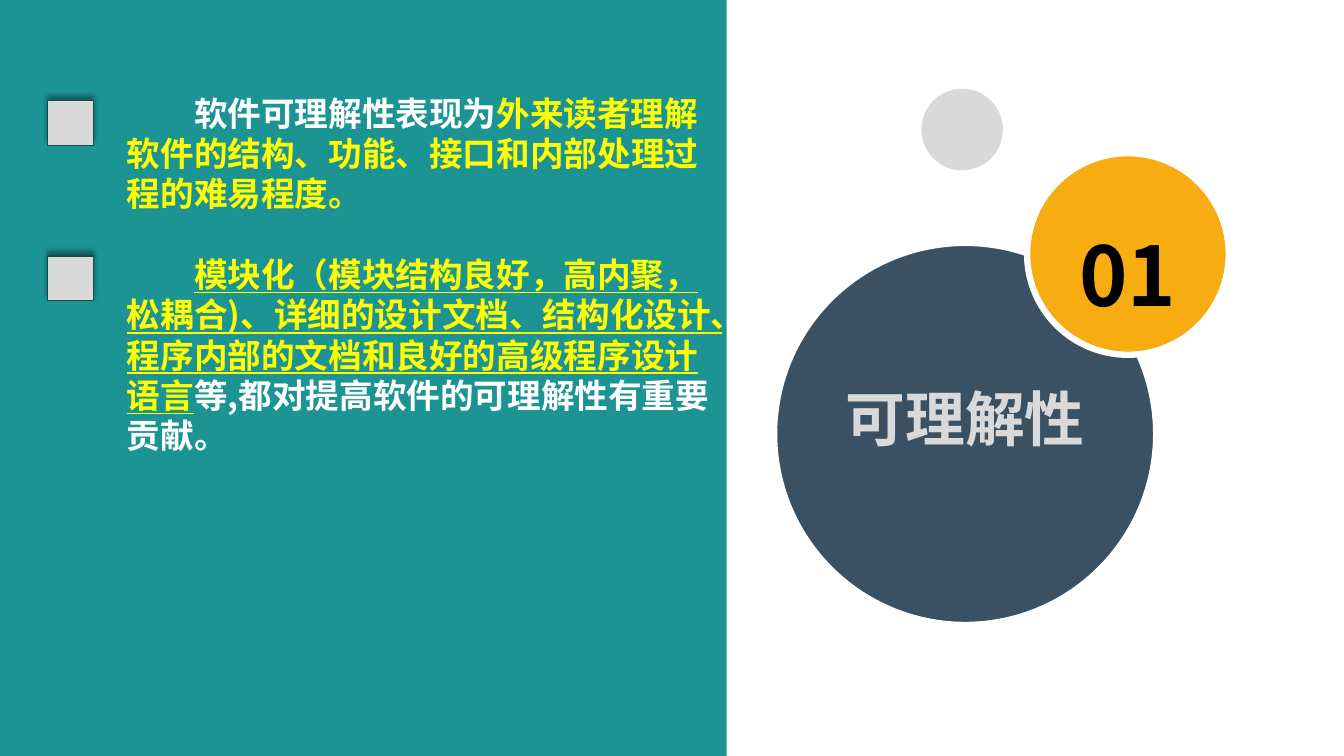
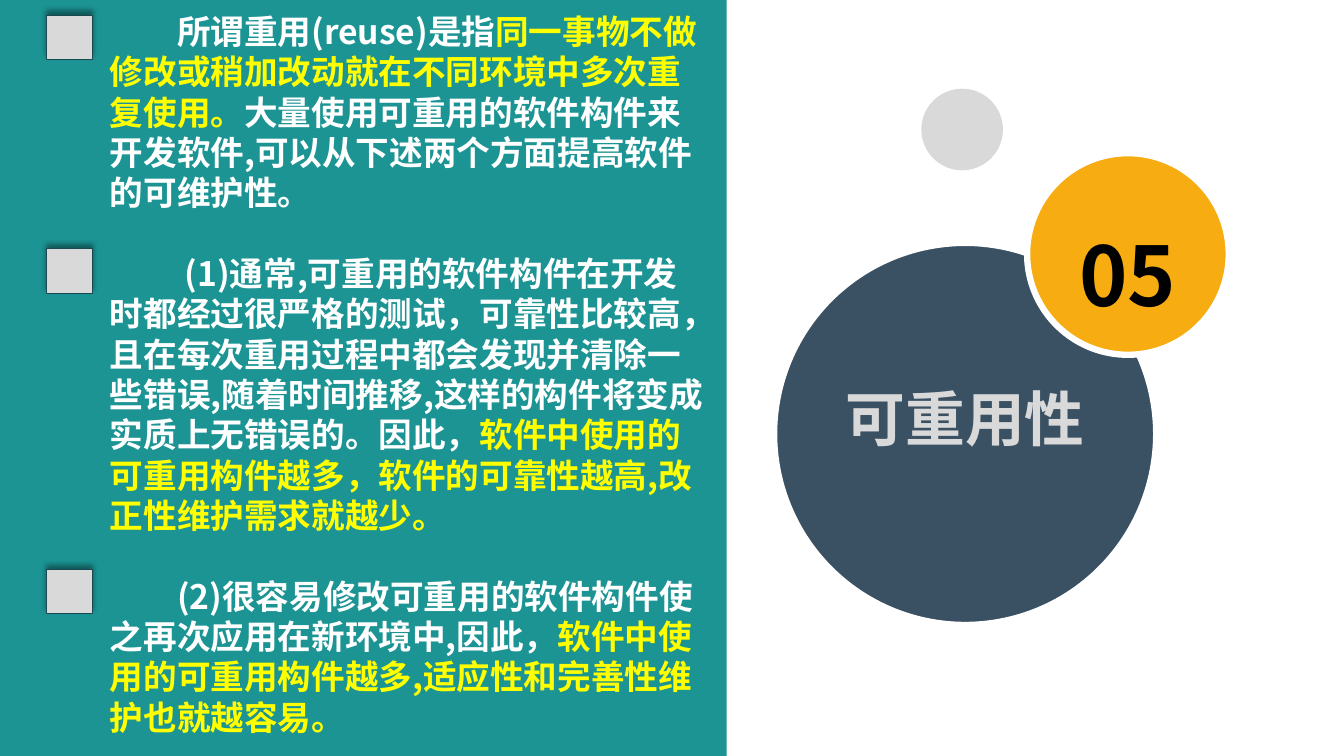
import pptx
import pptx.dml.color
import pptx.enum.shapes
import pptx.enum.text
import pptx.oxml
import pptx.oxml.ns
import pptx.util
from pptx.util import Inches

RGB = pptx.dml.color.RGBColor
TEAL = RGB(0x1C, 0x94, 0x94)
NAVY = RGB(0x3A, 0x50, 0x63)
AMBER = RGB(0xF7, 0xAC, 0x12)
GREY = RGB(0xD9, 0xD9, 0xD9)
MARKER_EDGE = RGB(0x1B, 0x49, 0x52)
WHITE = RGB(0xFF, 0xFF, 0xFF)
YELLOW = RGB(0xFF, 0xFF, 0x00)
BLACK = RGB(0, 0, 0)

FONT = "Noto Sans CJK SC"
BODY_SIZE = 24
LINE_RATIO = 1.2
ALIGN = pptx.enum.text.PP_ALIGN
ANCHOR = pptx.enum.text.MSO_ANCHOR
SHAPE = pptx.enum.shapes.MSO_SHAPE

# Content: each paragraph is a list of (text, colour, underlined)
SECTIONS = [
    {
        "number": "01",
        "title": "可理解性",
        "body_at": (1.19, 0.87, 6.04, 3.74),
        "marker_left": 0.47,
        "marker_tops": [1, 2.54],
        "body": [
            [("软件可理解性表现为", WHITE, False),
             ("外来读者理解软件的结构、功能、接口和内部处理过程的难易程度。", YELLOW, False)],
            [("模块化（模块结构良好，高内聚，松耦合)、详细的设计文档、结构化设计、"
              "程序内部的文档和良好的高级程序设计语言", YELLOW, True),
             ("等,都对提高软件的可理解性有重要贡献。", WHITE, False)],
        ],
    },
    {
        "number": "05",
        "title": "可重用性",
        "body_at": (1.02, 0.06, 6.04, 7.37),
        "marker_left": 0.46,
        "marker_tops": [0.15, 2.47, 5.65],
        "body": [
            [("所谓重用(reuse)是指", WHITE, False),
             ("同一事物不做修改或稍加改动就在不同环境中多次重复使用。", YELLOW, False),
             ("大量使用可重用的软件构件来开发软件,可以从下述两个方面提高软件的可维护性。", WHITE, False)],
            [(" (1)通常,可重用的软件构件在开发时都经过很严格的测试，可靠性比较高，"
              "且在每次重用过程中都会发现并清除一些错误,随着时间推移,"
              "这样的构件将变成实质上无错误的。因此，", WHITE, False),
             ("软件中使用的可重用构件越多，软件的可靠性越高,改正性维护需求就越少。", YELLOW, False)],
            [("(2)很容易修改可重用的软件构件使之再次应用在新环境中,因此，", WHITE, False),
             ("软件中使用的可重用构件越多,适应性和完善性维护也就越容易。", YELLOW, False)],
        ],
    },
]

# Circles: left, top, diameter, fill, white outline
CIRCLES = [
    (9.14, 0.88, 0.81, GREY, False),
    (7.68, 2.41, 3.79, NAVY, True),
    (10.19, 1.52, 2, AMBER, True),
]

MARKER_SHADOW = (
    '<a:effectLst %s><a:outerShdw blurRad="50800" dist="38100" dir="16200000" '
    'algn="b" rotWithShape="0"><a:srgbClr val="000000"><a:alpha val="40000"/>'
    '</a:srgbClr></a:outerShdw></a:effectLst>' % pptx.oxml.ns.nsdecls("a")
)


def add_figure(slide, kind, at, fill, edge=None, edge_width=0):
    figure = slide.shapes.add_shape(kind, *map(Inches, at))
    figure.shadow.inherit = False
    figure.fill.solid()
    figure.fill.fore_color.rgb = fill
    if edge is None:
        figure.line.fill.background()
    else:
        figure.line.color.rgb = edge
        figure.line.width = pptx.util.Pt(edge_width)
    return figure


def add_text(slide, paragraphs, at, *, size, align=ALIGN.LEFT, anchor=ANCHOR.TOP,
             insets=(0, 0), spacing=1, indent=0, gap=0):
    frame = slide.shapes.add_textbox(*map(Inches, at)).text_frame
    frame.word_wrap = True
    frame.vertical_anchor = anchor
    frame.margin_left = frame.margin_right = Inches(insets[0])
    frame.margin_top = frame.margin_bottom = Inches(insets[1])
    for index, runs in enumerate(paragraphs):
        paragraph = frame.add_paragraph() if index else frame.paragraphs[0]
        paragraph.alignment = align
        paragraph.line_spacing = pptx.util.Pt(size * LINE_RATIO * spacing)
        if index:
            paragraph.space_before = pptx.util.Pt(gap)
        if indent:
            paragraph._p.get_or_add_pPr().set("indent", str(Inches(indent)))
        for text, colour, underlined in runs:
            run = paragraph.add_run()
            run.text = text
            run.font.size = pptx.util.Pt(size)
            run.font.bold = True
            run.font.underline = underlined
            run.font.color.rgb = colour
            run.font.name = FONT
            properties = run._r.get_or_add_rPr()
            properties.set("lang", "zh-CN")
            east_asian = pptx.oxml.parse_xml(
                '<a:ea %s typeface="%s"/>' % (pptx.oxml.ns.nsdecls("a"), FONT))
            properties.find(pptx.oxml.ns.qn("a:latin")).addnext(east_asian)


def add_section(deck, section):
    slide = deck.slides.add_slide(deck.slide_layouts[6])

    # Panel and circles
    add_figure(slide, SHAPE.RECTANGLE, (0, 0, 7.21, 7.5), TEAL)
    for left, top, diameter, fill, outlined in CIRCLES:
        add_figure(slide, SHAPE.OVAL, (left, top, diameter, diameter), fill,
                   WHITE if outlined else None, 4.5)

    # Number and title
    add_text(slide, [[(section["number"], BLACK, False)]], (10.66, 1.83, 1.06, 1.38),
             size=58.7, align=ALIGN.CENTER, anchor=ANCHOR.MIDDLE, spacing=1.4)
    add_text(slide, [[(section["title"], GREY, False)]], (7.68, 3.72, 3.79, 0.85),
             size=42.7, align=ALIGN.CENTER, insets=(0.07, 0.07))

    # Body, with a first-line indent of two characters
    add_text(slide, section["body"], section["body_at"], size=BODY_SIZE,
             insets=(0.07, 0.05), indent=2 * BODY_SIZE / 72, gap=BODY_SIZE * LINE_RATIO)

    # Square markers
    for top in section["marker_tops"]:
        marker = add_figure(slide, SHAPE.RECTANGLE,
                            (section["marker_left"], top, 0.46, 0.44),
                            GREY, MARKER_EDGE, 0.75)
        properties = marker._element.spPr
        properties.remove(properties.find(pptx.oxml.ns.qn("a:effectLst")))
        properties.append(pptx.oxml.parse_xml(MARKER_SHADOW))


def main():
    deck = pptx.Presentation()
    deck.slide_width = Inches(40 / 3)
    deck.slide_height = Inches(7.5)
    for section in SECTIONS:
        add_section(deck, section)
    deck.save("out.pptx")


if __name__ == "__main__":
    main()
